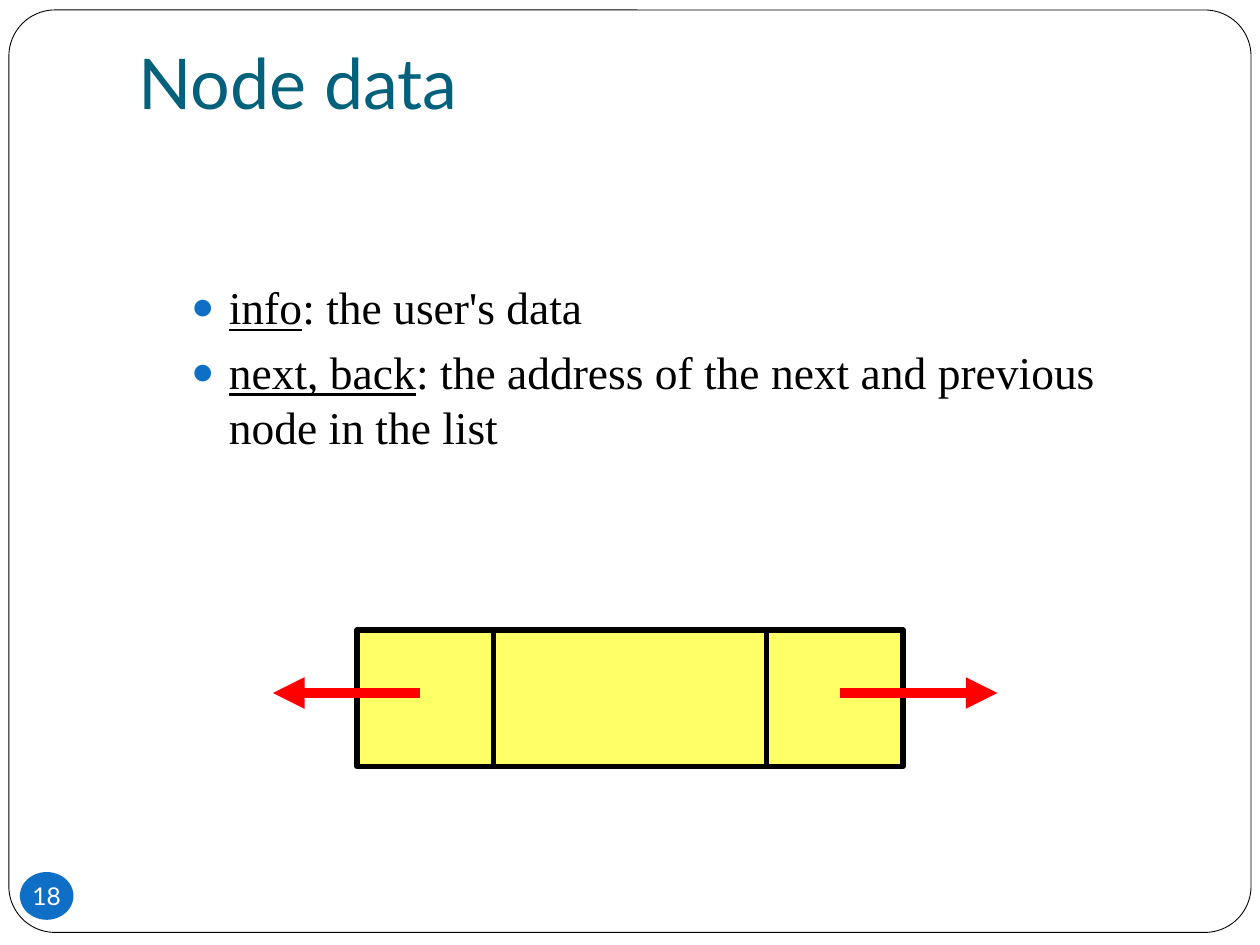
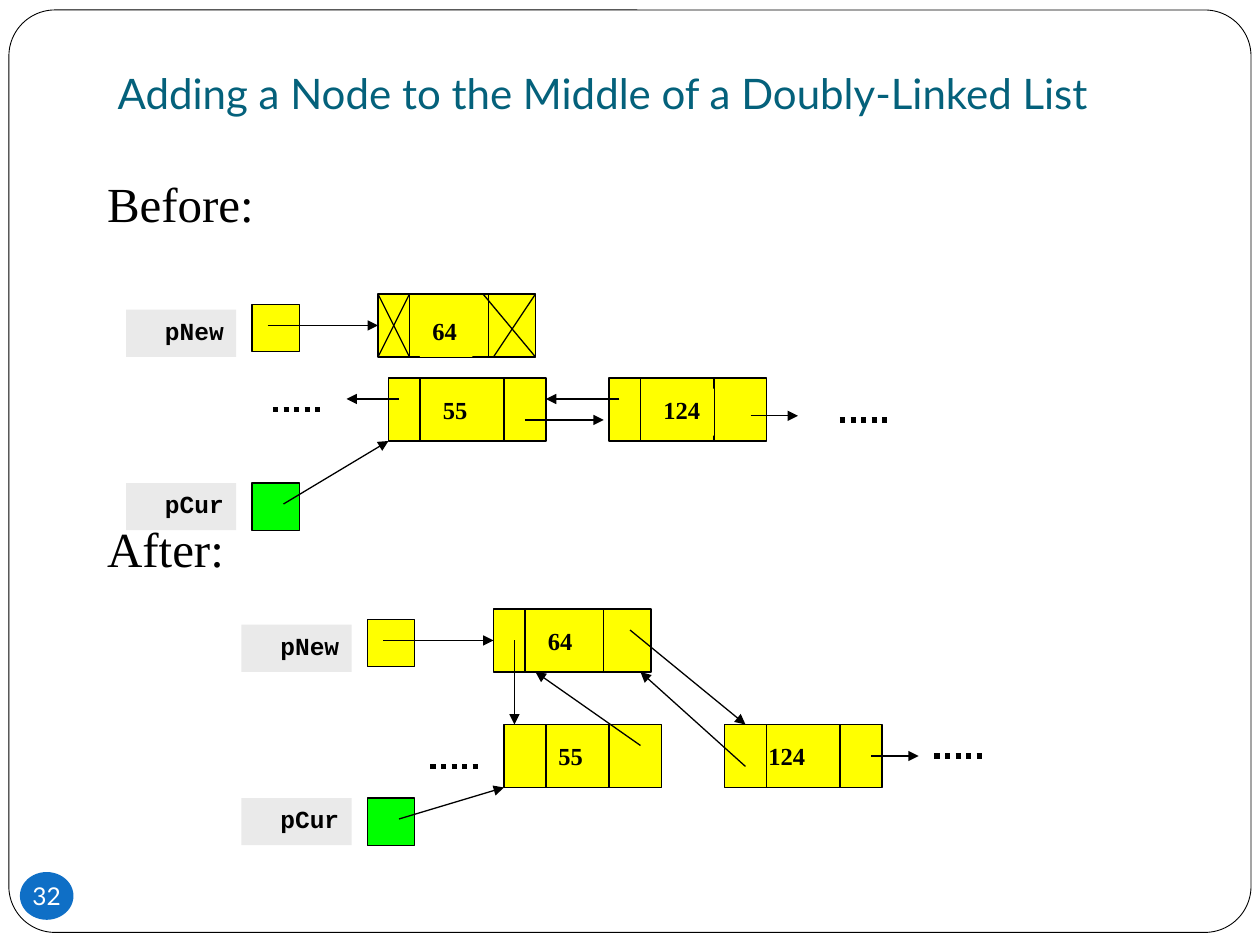
from lxml.etree import SubElement
from pptx import Presentation
from pptx.dml.color import RGBColor
from pptx.enum.dml import MSO_LINE
from pptx.enum.shapes import MSO_CONNECTOR, MSO_SHAPE
from pptx.enum.text import MSO_ANCHOR, MSO_AUTO_SIZE, PP_ALIGN
from pptx.oxml.ns import qn
from pptx.util import Inches, Pt

WHITE = RGBColor(0xFF, 0xFF, 0xFF)
BLACK = RGBColor(0x00, 0x00, 0x00)
TEAL = RGBColor(0x04, 0x61, 0x7B)
BLUE = RGBColor(0x0F, 0x6F, 0xC6)
RED = RGBColor(0xFF, 0x00, 0x00)
YELLOW = RGBColor(0xFF, 0xFF, 0x00)
PALE_YELLOW = RGBColor(0xFF, 0xFF, 0x66)
GREEN = RGBColor(0x00, 0xFF, 0x00)
GREY = RGBColor(0xEA, 0xEA, 0xEA)

SANS, SERIF, MONO = "Lato", "Times New Roman", "Courier New"
COLUMNS, ROWS = 120, 90
NODE_WIDTH, NODE_HEIGHT = 15, 6
CELL = 4.5


class Deck:
    """Draws list diagrams on a grid of 120 columns by 90 rows."""

    def __init__(self):
        self.show = Presentation()
        self.show.slide_width, self.show.slide_height = Inches(10), Inches(7.5)
        self.slide = None

    def grid(self, column, row):
        return (round(column * self.show.slide_width / COLUMNS),
                round(row * self.show.slide_height / ROWS))

    def place(self, shape, box):
        shape.left, shape.top = self.grid(*box[:2])
        shape.width, shape.height = self.grid(*box[2:])

    def style(self, paragraph, font, size, color, bold=False):
        paragraph.font.name = font
        paragraph.font.size = Pt(size)
        paragraph.font.color.rgb = color
        paragraph.font.bold = bold

    def new_slide(self, number, title, title_box, title_size):
        self.slide = self.show.slides.add_slide(self.show.slide_layouts[1])
        frame = self.shape((0.85, 0.95, 118.3, 87.85), None, 0.5,
                           MSO_SHAPE.ROUNDED_RECTANGLE)
        frame.adjustments[0] = 0.05
        badge = self.shape((1.9, 83.05, 5.1, 4.55), BLUE, 0, MSO_SHAPE.OVAL)
        self.label(badge, number, SANS, WHITE, PP_ALIGN.CENTER, bold=False)
        text = badge.text_frame
        text.vertical_anchor = MSO_ANCHOR.MIDDLE
        text.margin_left = text.margin_right = 0
        text.margin_top = text.margin_bottom = 0
        text.word_wrap = False
        self.title(title, title_box, title_size)

    def title(self, title, box, size):
        heading = self.slide.shapes.title
        self.place(heading, box)
        text = heading.text_frame
        text.text = title
        text.auto_size = MSO_AUTO_SIZE.NONE
        text.vertical_anchor = MSO_ANCHOR.BOTTOM
        text.margin_bottom = Inches(0.1)
        text.paragraphs[0].alignment = PP_ALIGN.LEFT
        self.style(text.paragraphs[0], SANS, size, TEAL)

    def body(self, items, box, size, gap, indent, bullet=None, spacing=1.0):
        """Fills the body with (underlined lead, rest) items."""
        holder = self.slide.placeholders[1]
        self.place(holder, box)
        text = holder.text_frame
        text.auto_size = MSO_AUTO_SIZE.NONE
        text.word_wrap = True
        for index, (lead, rest) in enumerate(items):
            paragraph = text.paragraphs[0] if index == 0 else text.add_paragraph()
            if lead:
                run = paragraph.add_run()
                run.text = lead
                run.font.underline = True
            paragraph.add_run().text = rest
            self.bullet(paragraph, bullet, indent)
            paragraph.line_spacing = spacing
            paragraph.space_before = Pt(gap if index else 0)
            self.style(paragraph, SERIF, size, BLACK)

    def bullet(self, paragraph, mark, indent):
        properties = paragraph._p.get_or_add_pPr()
        properties.set("marL", str(Inches(indent)))
        properties.set("indent", str(-Inches(indent)))
        if mark is None:
            SubElement(properties, qn("a:buNone"))
            return
        color = SubElement(properties, qn("a:buClr"))
        SubElement(color, qn("a:srgbClr"), val=str(BLUE))
        SubElement(properties, qn("a:buSzPct"), val="85000")
        SubElement(properties, qn("a:buChar"), char=mark)

    def shape(self, box, fill, border=0.75, kind=MSO_SHAPE.RECTANGLE):
        shape = self.slide.shapes.add_shape(kind, 0, 0, 0, 0)
        self.place(shape, box)
        shape.shadow.inherit = False
        if fill is None:
            shape.fill.background()
        else:
            shape.fill.solid()
            shape.fill.fore_color.rgb = fill
        if border:
            shape.line.color.rgb = BLACK
            shape.line.width = Pt(border)
        else:
            shape.line.fill.background()
        return shape

    def label(self, shape, wording, font, color=BLACK, align=PP_ALIGN.LEFT, bold=True):
        text = shape.text_frame
        text.text = wording
        text.vertical_anchor = MSO_ANCHOR.TOP
        text.paragraphs[0].alignment = align
        self.style(text.paragraphs[0], font, 14, color, bold)

    def line(self, start, end, color=BLACK, width=0.75, dash=None):
        line = self.slide.shapes.add_connector(
            MSO_CONNECTOR.STRAIGHT, *self.grid(*start), *self.grid(*end))
        line.line.color.rgb = color
        line.line.width = Pt(width)
        if dash:
            line.line.dash_style = dash
        SubElement(line._element.spPr, qn("a:effectLst"))
        return line

    def arrow(self, start, end, color=BLACK, width=0.75, target=None):
        """Draws an arrow, joined to the left side of any target."""
        arrow = self.line(start, end, color, width)
        SubElement(arrow.line._get_or_add_ln(), qn("a:tailEnd"), type="triangle")
        if target is not None:
            arrow.end_connect(target, 1)

    def divider(self, column, top, height, width=0.75):
        self.line((column, top), (column, top + height), width=width)

    def dots(self, column, row):
        self.line((column, row), (column + CELL, row), width=3,
                  dash=MSO_LINE.ROUND_DOT)

    def node(self, left, top, value, dividers, value_box):
        """Draws a node split into back, value and next."""
        node = self.shape((left, top, NODE_WIDTH, NODE_HEIGHT), YELLOW)
        back_edge, next_edge = dividers
        self.divider(next_edge, top, NODE_HEIGHT)
        column, row, width = value_box
        cell = self.shape((left + column, top + row, width, CELL), YELLOW, 0)
        self.label(cell, value, SERIF)
        self.divider(back_edge, top, NODE_HEIGHT)
        return node

    def pointer(self, left, top, name, fill, drop=0.0):
        """Draws a pointer cell with its name to the left."""
        tag = self.shape((left, top + drop, 10.5, CELL), GREY, 0)
        self.label(tag, name, MONO, align=PP_ALIGN.RIGHT)
        self.shape((left + 12, top, CELL, CELL), fill)

    def pointers(self, left, top, target):
        """Draws pNew, linked to its target, and pCur below."""
        self.pointer(left, top, "pNew", YELLOW, drop=0.5)
        self.pointer(left, top + 17, "pCur", GREEN)
        self.arrow((left + 13.5, top + 2), (left + 24, top + 2), target=target)


def node_data(deck):
    deck.new_slide("18", "Node data", (12, 3.6, 102, 9.35), 40)
    deck.body([("info", ": the user's data"),
               ("next, back", ": the address of the next and previous node in the list")],
              (17, 26, 90, 24), 26, gap=5.8, indent=0.3, bullet="●")
    deck.shape((34, 60, 52, 13), PALE_YELLOW, 3)
    for edge in (47, 73):
        deck.divider(edge, 60, 13, 3)
    for start, end in ((40, 26), (80, 95)):
        deck.arrow((start, 66), (end, 66), RED, 6)


def adding_a_node(deck):
    deck.new_slide("32", "Adding a Node to the Middle of a Doubly-Linked List",
                   (10, 3, 102, 9.4), 24)
    deck.body([("", "Before:"), ("", "After:")], (9, 17, 107, 65), 28,
              gap=170, indent=0.5, spacing=0.8)

    new_before = deck.node(36, 28, "64", (39, 46.5), (4, 1.5, 5))
    deck.node(37, 36, "55", (40, 48), (4, 1, 5))
    deck.node(58, 36, "124", (61, 68), (4, 1, 6))
    deck.pointers(12, 29, new_before)
    for top_end, bottom_end in ((39, 36), (36, 39), (46, 51), (51, 47)):
        deck.line((top_end, 28), (bottom_end, 34))

    new_after = deck.node(47, 58, "64", (50, 57.5), (4, 1, 6))
    deck.node(48, 69, "55", (52, 58), (4, 1, 5.5))
    deck.node(69, 69, "124", (73, 80), (3, 1, 6.5))
    deck.pointers(23, 59, new_after)

    before_links = [((50, 40), (57.5, 40)), ((71.5, 39.6), (76, 39.6)),
                    ((27, 48), (37, 42)), ((38, 38), (33, 38)),
                    ((59, 38), (52, 38))]
    after_links = [((61, 71), (51, 64)), ((83, 72), (87.5, 72)),
                   ((60, 60), (71, 69)), ((38, 78), (48, 75)),
                   ((49, 61), (49, 69)), ((71, 73), (61, 64))]
    for start, end in before_links + after_links:
        deck.arrow(start, end)
    for column, row in ((26, 39), (80, 40), (41, 73), (89, 72)):
        deck.dots(column, row)


def main():
    deck = Deck()
    node_data(deck)
    adding_a_node(deck)
    deck.show.save("out.pptx")


if __name__ == "__main__":
    main()
